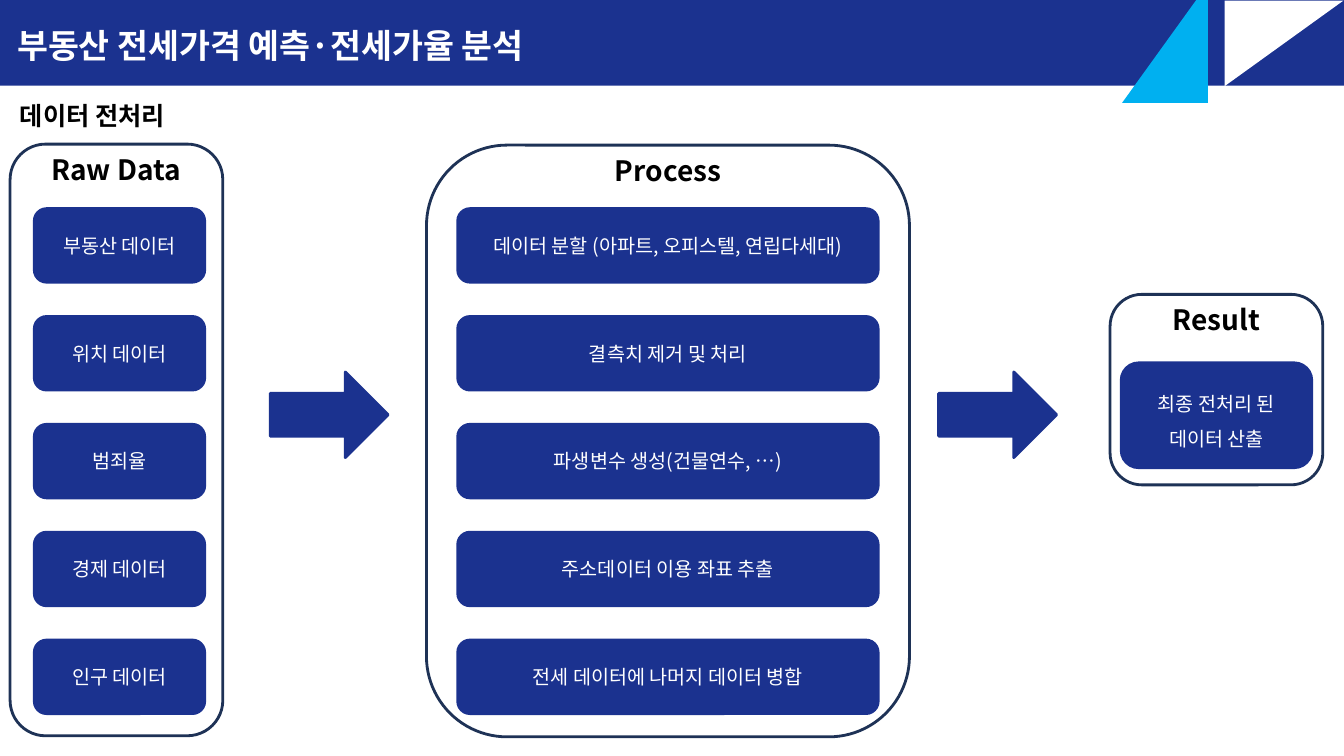
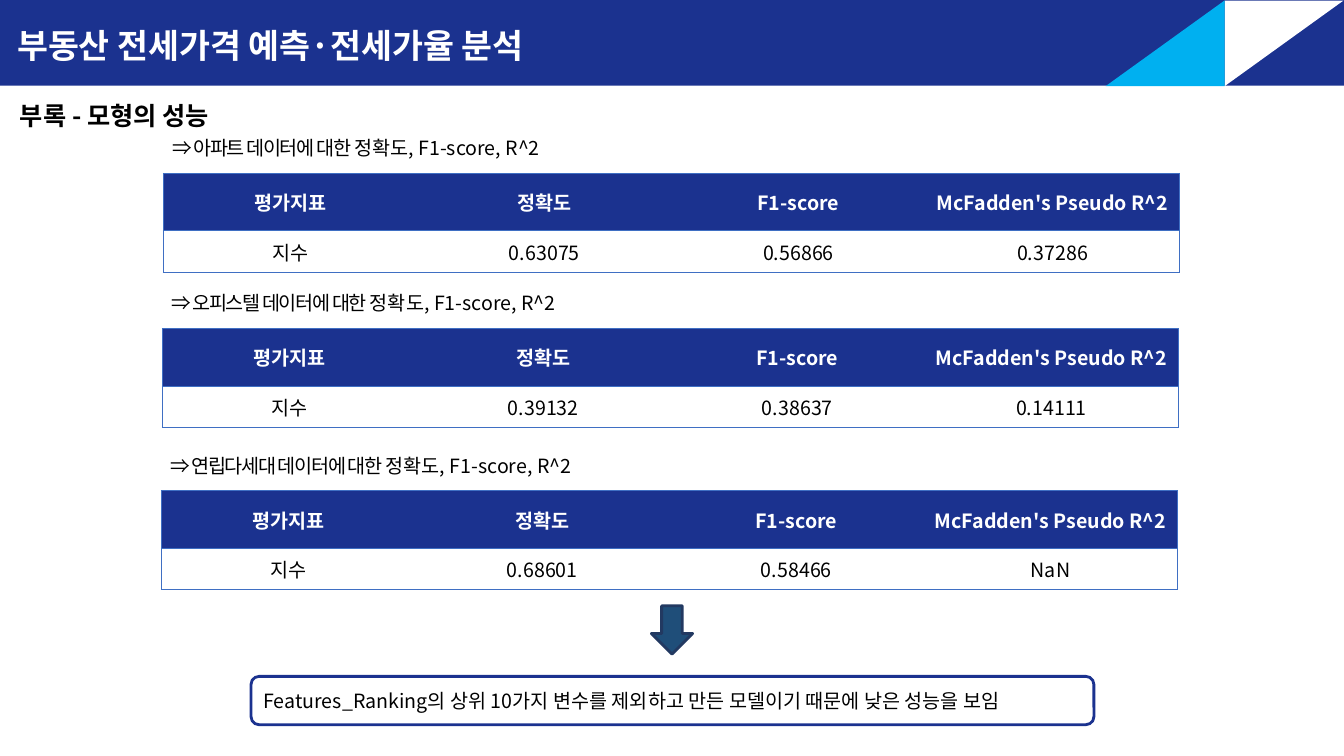
import pptx
import pptx.dml.color
import pptx.enum.shapes
import pptx.enum.text
import pptx.oxml.ns
import pptx.util
from lxml import etree

PX = 9144  # EMU in one px, 100 px to the inch
FONT = "Noto Sans CJK KR"
COLORS = {
    "navy": "1B328F", "cyan": "00B0F0", "white": "FFFFFF", "black": "000000",
    "frame": "1E3256", "grid": "3F6FC3", "arrow": "1F4E79", "arrow_edge": "223961",
}
SHAPE = pptx.enum.shapes.MSO_SHAPE
ALIGN = pptx.enum.text.PP_ALIGN
ANCHOR = pptx.enum.text.MSO_ANCHOR
qn = pptx.oxml.ns.qn

DECK_TITLE = "부동산 전세가격 예측·전세가율 분석"
RAW_DATA = ["부동산 데이터", "위치 데이터", "범죄율", "경제 데이터", "인구 데이터"]
PROCESS = [
    "데이터 분할 (아파트, 오피스텔, 연립다세대)",
    "결측치 제거 및 처리",
    "파생변수 생성(건물연수, …)",
    "주소데이터 이용 좌표 추출",
    "전세 데이터에 나머지 데이터 병합",
]
METRICS = ["평가지표", "정확도", "F1-score", "McFadden's Pseudo R^2"]
SCORES = [  # housing type, table top, values
    ("아파트", 172, ["0.63075", "0.56866", "0.37286"]),
    ("오피스텔", 326, ["0.39132", "0.38637", "0.14111"]),
    ("연립다세대", 487, ["0.68601", "0.58466", "NaN"]),
]


def px(*lengths):
    return [pptx.util.Emu(length * PX) for length in lengths]


def rgb(name):
    return pptx.dml.color.RGBColor.from_string(COLORS[name])


# Text
def style(para, size, color, bold=False, align=ALIGN.LEFT):
    para.alignment = align
    font = para.font
    font.name, font.size, font.bold = FONT, pptx.util.Pt(size), bold
    font.color.rgb = rgb(color)
    defaults = para._p.pPr.find(qn("a:defRPr"))
    etree.SubElement(defaults, qn("a:ea"), typeface=FONT)


def add_text(page, at, text, size, bold=False, align=ALIGN.LEFT):
    box = page.shapes.add_textbox(*px(*at))
    box.text_frame.word_wrap = True
    para = box.text_frame.paragraphs[0]
    para.text = text
    style(para, size, "black", bold, align)
    return para


# Shapes
def add_shape(page, kind, at, fill=None, line=None):
    shape = page.shapes.add_shape(kind, *px(*at))
    shape.shadow.inherit = False
    if fill:
        shape.fill.solid()
        shape.fill.fore_color.rgb = rgb(fill)
    else:
        shape.fill.background()
    if line:
        shape.line.color.rgb = rgb(line)
        shape.line.width = pptx.util.Pt(2)
    else:
        shape.line.fill.background()
    return shape


def add_label(page, at, text, fill="navy", color="white", align=ALIGN.CENTER):
    shape = add_shape(page, SHAPE.ROUNDED_RECTANGLE, at, fill, "navy")
    shape.text_frame.vertical_anchor = ANCHOR.MIDDLE
    para = shape.text_frame.paragraphs[0]
    para.text = text
    style(para, 14, color, align=align)
    return para


def add_frame(page, at, heading):
    left, top, width, _ = at
    add_shape(page, SHAPE.ROUNDED_RECTANGLE, at, line="frame")
    add_text(page, (left + 10, top + 3, width - 20, 44), heading, 20, True, ALIGN.CENTER)


def add_stack(page, left, width, labels):
    for index, label in enumerate(labels):
        add_label(page, (left, 207 + 107 * index, width, 73), label)


# Header shared by both slides
def add_header(page, subtitle, upright_triangle=False):
    band = add_shape(page, SHAPE.RECTANGLE, (0, 0, 1333, 85), "navy")
    band.text_frame.vertical_anchor = ANCHOR.TOP
    band.text_frame.margin_left = px(17)[0]
    title = band.text_frame.paragraphs[0]
    title.text = DECK_TITLE
    title.line_spacing = 1.5
    style(title, 24, "white", True)

    white = add_shape(page, SHAPE.RIGHT_TRIANGLE, (1231, -16, 85, 118), "white")
    white.rotation = 90
    cyan = add_shape(page, SHAPE.RIGHT_TRIANGLE, (1113, -16, 85, 118), "cyan")
    if upright_triangle:
        cyan._element.spPr.find(qn("a:xfrm")).set("flipH", "1")
    else:
        cyan.rotation = 270
    add_text(page, (10, 95, 404, 40), subtitle, 18, True)


# Tables
def set_borders(cell, sides):
    props = cell._tc.get_or_add_tcPr()
    for side in "LRTB":
        line = etree.SubElement(props, qn("a:ln" + side), w="9525")
        if side in sides:
            fill = etree.SubElement(line, qn("a:solidFill"))
            etree.SubElement(fill, qn("a:srgbClr"), val=COLORS["grid"])
        else:
            etree.SubElement(line, qn("a:noFill"))


def add_score_table(page, left, top, values):
    rows = [METRICS, ["지수"] + values]
    last = len(METRICS) - 1
    frame = page.shapes.add_table(len(rows), len(METRICS), *px(left, top, 1008, 98))
    table = frame.table
    table.horz_banding = False
    for row, height in zip(table.rows, px(57, 41)):
        row.height = height
    for r, texts in enumerate(rows):
        header = r == 0
        for c, text in enumerate(texts):
            cell = table.cell(r, c)
            set_borders(cell, "TB" + ("L" if c == 0 else "") + ("R" if c == last else ""))
            if header:
                cell.fill.solid()
                cell.fill.fore_color.rgb = rgb("navy")
            else:
                cell.fill.background()
            cell.vertical_anchor = ANCHOR.MIDDLE
            para = cell.text_frame.paragraphs[0]
            para.text = text
            style(para, 14, "white" if header else "black", header, ALIGN.CENTER)


def add_caption(page, left, top, housing):
    para = add_text(page, (left, top, 487, 34), f"⇒ {housing} 데이터에 대한 ", 14)
    para.runs[0]._r.get_or_add_rPr().set("spc", "-100")
    para.add_run().text = "정확도, F1-score, R^2"


# Slides
def build_preprocessing(page):
    add_header(page, "데이터 전처리", upright_triangle=True)
    add_stack(page, 34, 169, RAW_DATA)
    add_stack(page, 454, 417, PROCESS)
    result = add_label(page, (1112, 360, 189, 104), "최종 전처리 된 데이터 산출")
    result.line_spacing = 1.5
    for left in (268, 931):
        add_shape(page, SHAPE.RIGHT_ARROW, (left, 369, 117, 85), "navy", "navy")
    add_frame(page, (10, 143, 211, 587), "Raw Data")
    add_frame(page, (423, 144, 479, 587), "Process")
    add_frame(page, (1101, 292, 211, 189), "Result")


def build_performance(page):
    add_header(page, "부록 - 모형의 성능")
    for index, (housing, top, values) in enumerate(SCORES):
        left = 162 - index
        add_score_table(page, left, top, values)
        add_caption(page, left - 1, top - 42, housing)
    add_shape(page, SHAPE.DOWN_ARROW, (646, 601, 41, 48), "arrow", "arrow_edge")
    add_label(
        page, (249, 671, 836, 48),
        "Features_Ranking의 상위 10가지 변수를 제외하고 만든 모델이기 때문에 낮은 성능을 보임",
        "white", "black", ALIGN.LEFT,
    )


def main():
    deck = pptx.Presentation()
    deck.slide_width, deck.slide_height = px(1333, 750)
    for build in (build_preprocessing, build_performance):
        build(deck.slides.add_slide(deck.slide_layouts[6]))
    deck.save("out.pptx")


if __name__ == "__main__":
    main()
